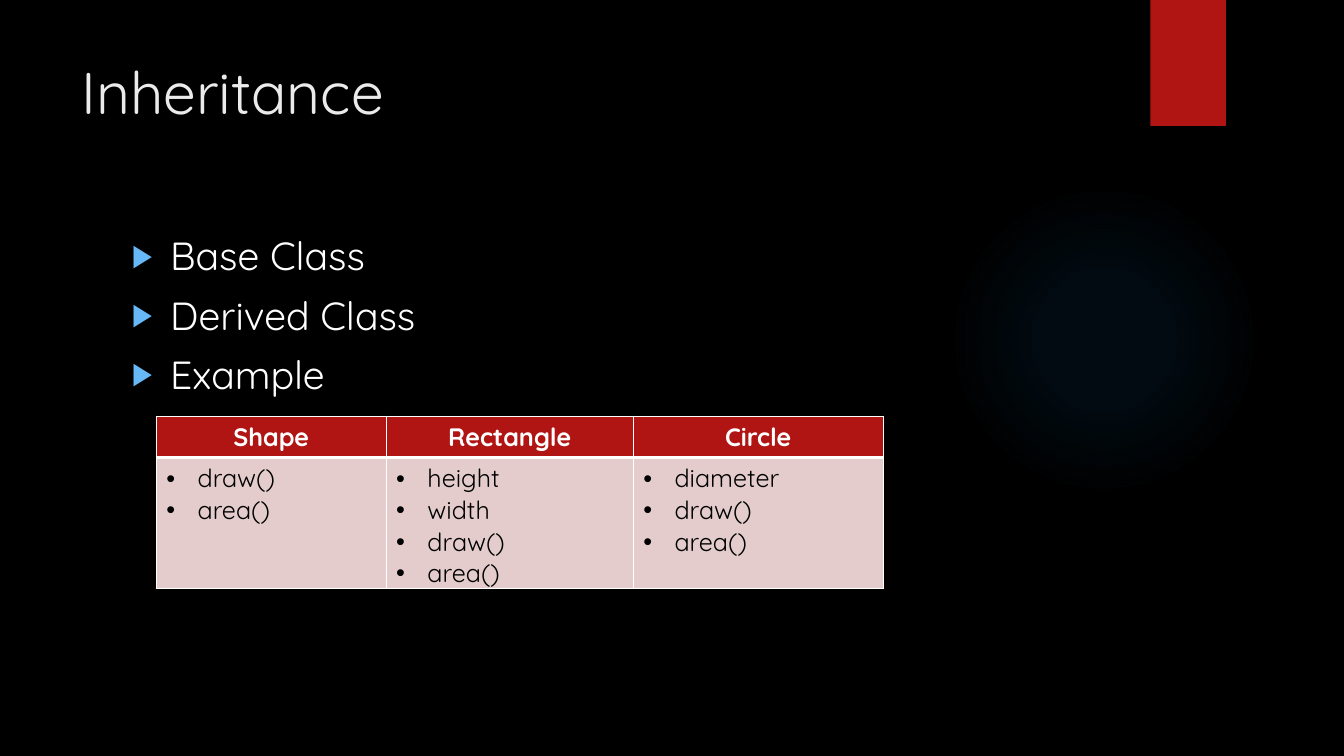
from lxml import etree
from pptx import Presentation
from pptx.dml.color import RGBColor
from pptx.enum.shapes import MSO_SHAPE as Preset
from pptx.enum.text import MSO_ANCHOR as Anchor, PP_ALIGN as Align
from pptx.oxml import parse_xml
from pptx.oxml.ns import nsdecls, qn
from pptx.util import Inches, Pt

FONT = "Quicksand"
RED, WHITE, BLACK, PINK = "B01513", "FFFFFF", "000000", "E4CCCC"
GLOW_STOPS = [(0, 7), (36, 6), (69, 0)]  # position and opacity in percent
TOPICS = ["Base Class", "Derived Class", "Example"]
CLASSES = {
    "Shape": ["draw()", "area()"],
    "Rectangle": ["height", "width", "draw()", "area()"],
    "Circle": ["diameter", "draw()", "area()"],
}
COLUMN_WIDTHS = [2.28, 2.45, 2.48]
ROW_HEIGHTS = [0.41, 1.3]


def paint(target, color):
    target.solid()
    target.fore_color.rgb = RGBColor.from_string(color)


def style(paragraph, size, color, bold=False):
    font = paragraph.font
    font.name, font.size, font.bold = FONT, Pt(size), bold
    font.color.rgb = RGBColor.from_string(color)


def add_bullet(paragraph, char, indent, color, percent=100):
    props = paragraph._p.get_or_add_pPr()
    props.set("marL", str(Inches(indent)))
    props.set("indent", str(-Inches(indent)))
    tint = etree.SubElement(props, qn("a:buClr"))
    etree.SubElement(tint, qn("a:srgbClr"), val=color)
    etree.SubElement(props, qn("a:buSzPct"), val=str(percent * 1000))
    etree.SubElement(props, qn("a:buFont"), typeface="Arial")
    etree.SubElement(props, qn("a:buChar"), char=char)


def write_lines(frame, lines):
    frame.text = "\n".join(lines)
    return frame.paragraphs


def add_text(slide, lines, left, top, width, height):
    frame = slide.shapes.add_textbox(
        Inches(left), Inches(top), Inches(width), Inches(height)).text_frame
    frame.word_wrap = True
    frame.vertical_anchor = Anchor.TOP
    return write_lines(frame, lines)


def add_plain_shape(slide, preset, left, top, width, height, color):
    shape = slide.shapes.add_shape(
        preset, Inches(left), Inches(top), Inches(width), Inches(height))
    shape.shadow.inherit = False
    paint(shape.fill, color)
    shape.line.fill.background()
    return shape


def add_glow(slide, left, top, size, color):
    glow = add_plain_shape(slide, Preset.OVAL, left, top, size, size, color)
    stops = "".join(
        f'<a:gs pos="{pos * 1000}"><a:srgbClr val="{color}">'
        f'<a:alpha val="{opacity * 1000}"/></a:srgbClr></a:gs>'
        for pos, opacity in GLOW_STOPS)
    gradient = parse_xml(
        f'<a:gradFill {nsdecls("a")} rotWithShape="1"><a:gsLst>{stops}</a:gsLst>'
        '<a:path path="circle"><a:fillToRect l="50000" t="50000" r="50000" b="50000"/>'
        '</a:path></a:gradFill>')
    props = glow._element.spPr
    props.replace(props.find(qn("a:solidFill")), gradient)


def set_borders(cell, top=1, bottom=1):
    props = cell._tc.get_or_add_tcPr()
    widths = {"lnL": 1, "lnR": 1, "lnT": top, "lnB": bottom}
    for place, (side, width) in enumerate(widths.items()):
        props.insert(place, parse_xml(
            f'<a:{side} {nsdecls("a")} w="{Pt(width)}"><a:solidFill>'
            f'<a:srgbClr val="{WHITE}"/></a:solidFill></a:{side}>'))


def add_class_table(slide, left, top):
    table = slide.shapes.add_table(
        len(ROW_HEIGHTS), len(CLASSES), Inches(left), Inches(top),
        Inches(sum(COLUMN_WIDTHS)), Inches(sum(ROW_HEIGHTS))).table
    for row, height in zip(table.rows, ROW_HEIGHTS):
        row.height = Inches(height)
    for col, (name, members) in enumerate(CLASSES.items()):
        table.columns[col].width = Inches(COLUMN_WIDTHS[col])
        header, body = table.cell(0, col), table.cell(1, col)

        paint(header.fill, RED)
        set_borders(header, bottom=3)
        for paragraph in write_lines(header.text_frame, [name]):
            paragraph.alignment = Align.CENTER
            style(paragraph, 18, WHITE, bold=True)

        paint(body.fill, PINK)
        set_borders(body, top=3)
        for paragraph in write_lines(body.text_frame, members):
            add_bullet(paragraph, "•", 0.31, BLACK)
            style(paragraph, 18, BLACK)


def main():
    deck = Presentation()
    deck.slide_width, deck.slide_height = Inches(13.33), Inches(7.5)
    slide = deck.slides.add_slide(deck.slide_layouts[6])
    paint(slide.background.fill, BLACK)

    # Backdrop
    add_glow(slide, 9.41, 1.83, 3.08, "1C95F2")
    add_plain_shape(slide, Preset.RECTANGLE, 11.41, 0, 0.75, 1.25, RED)

    # Title
    for paragraph in add_text(slide, ["Inheritance"], 0.71, 0.5, 10.29, 1.53):
        style(paragraph, 42, "EBEBEB")

    # Topics
    for paragraph in add_text(slide, TOPICS, 1.21, 2.25, 9.78, 4.59):
        paragraph.space_before = Pt(8.6)
        add_bullet(paragraph, "▶", 0.38, "67B8F6", 80)
        style(paragraph, 28, WHITE)

    # Example classes
    add_class_table(slide, 1.55, 4.13)

    deck.save("out.pptx")


if __name__ == "__main__":
    main()
